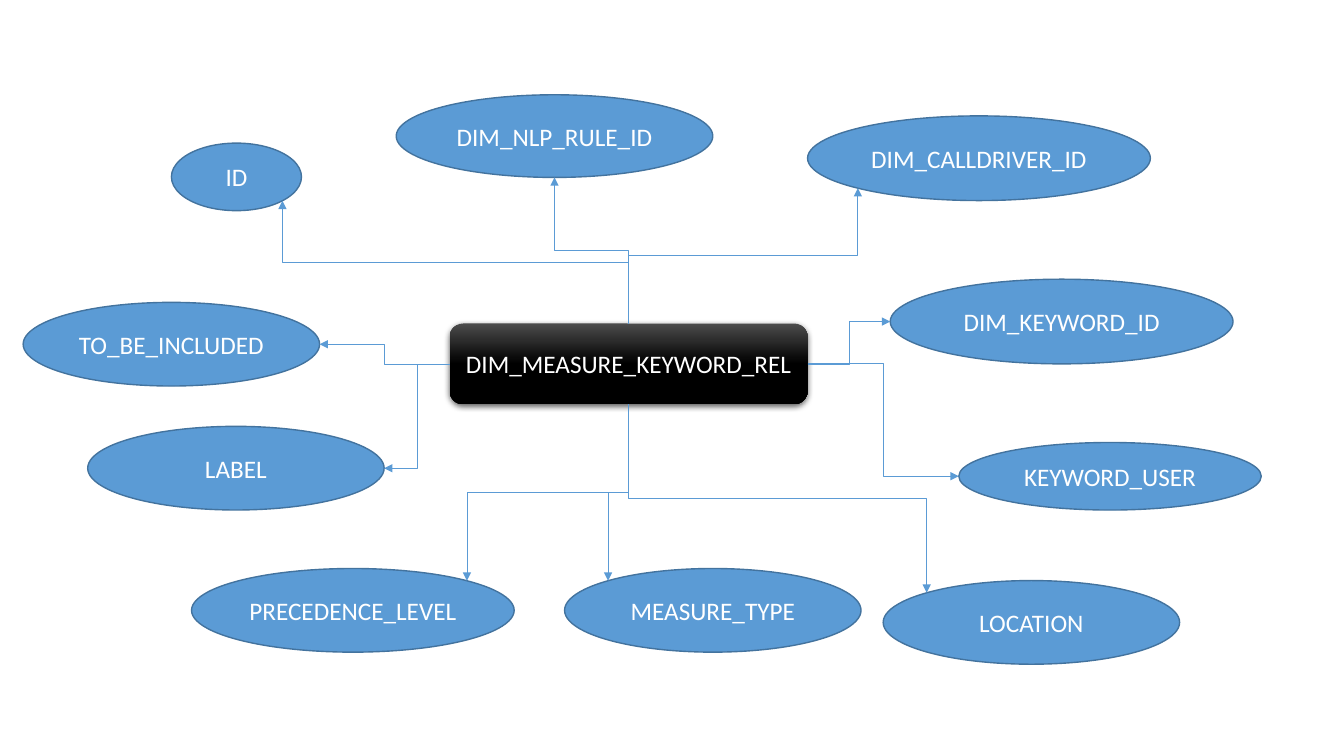
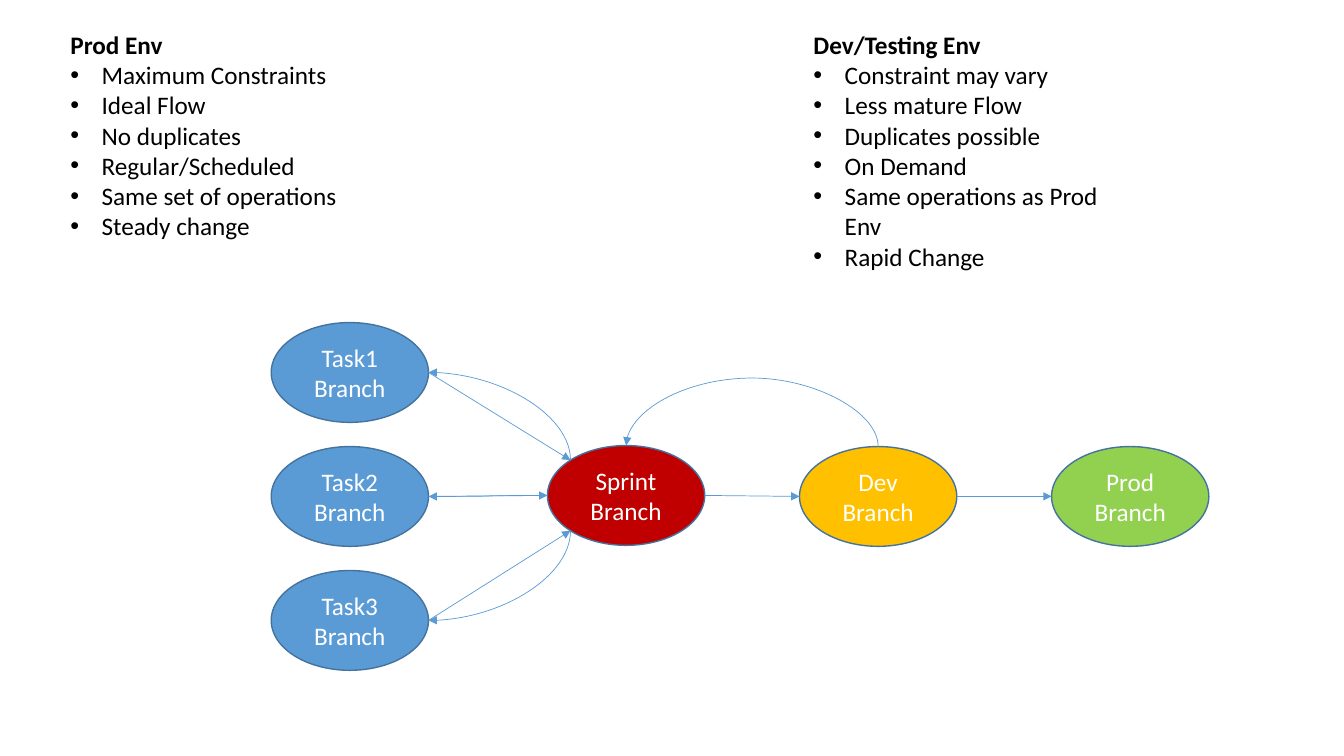
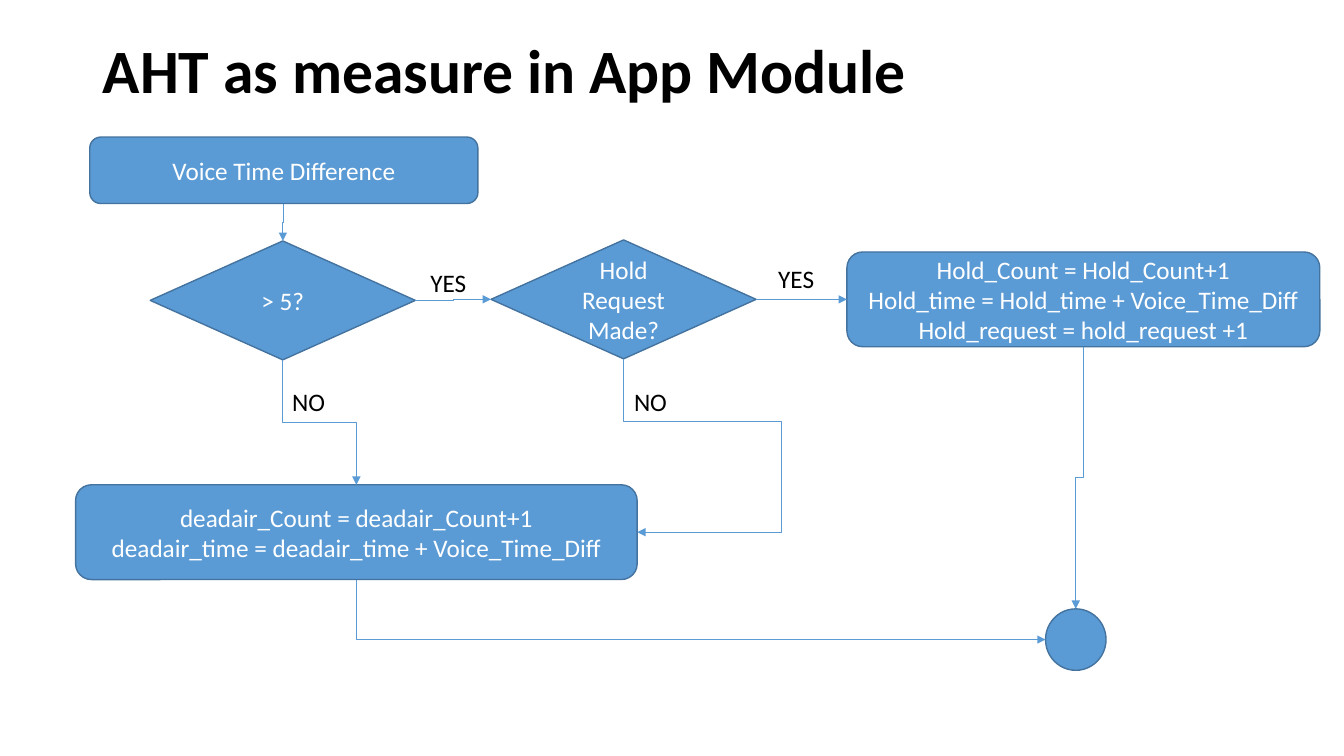
from dataclasses import dataclass

from lxml.etree import SubElement
from pptx import Presentation
from pptx.dml.color import RGBColor
from pptx.enum.shapes import MSO_CONNECTOR as Link, MSO_SHAPE as Form
from pptx.enum.text import MSO_ANCHOR as Anchor, PP_ALIGN as Align
from pptx.oxml.ns import qn
from pptx.util import Inches, Pt

FONT = "Calibri"
COLORS = {
    "blue": "5B9BD5", "edge": "43739E", "red": "C00000", "gold": "FFC000",
    "green": "92D050", "black": "000000", "gray": "4B4B4B", "white": "FFFFFF",
}
# Connection sites: offset from the centre in half widths and half heights
DIAG = 0.5 ** 0.5
SITES = {
    "t": (0, -1), "tl": (-DIAG, -DIAG), "l": (-1, 0), "bl": (-DIAG, DIAG),
    "b": (0, 1), "br": (DIAG, DIAG), "r": (1, 0), "tr": (DIAG, -DIAG),
}
OVAL_SITES = list(SITES)
BOX_SITES = ["t", "l", "b", "r"]


@dataclass
class Node:
    key: str
    lines: tuple
    at: tuple
    form: Form = Form.OVAL
    fill: str = "blue"


@dataclass
class Arrow:
    start: str
    exit: str
    end: str
    entry: str
    kind: Link = Link.ELBOW
    preset: str = ""
    adjust: tuple = ()


def rgb(name: str) -> RGBColor:
    return RGBColor.from_string(COLORS[name])


def write(frame, lines, *, size=18, color="black", bold=False, align=Align.LEFT,
          anchor=Anchor.TOP, wrap=True, spacing=None, bullets=False) -> None:
    """Fill a frame; with bullets, the first line is a bold heading."""
    frame.word_wrap = wrap
    frame.vertical_anchor = anchor
    for i, line in enumerate(lines):
        para = frame.paragraphs[0] if i == 0 else frame.add_paragraph()
        para.alignment = align
        if spacing:
            para.line_spacing = spacing
        if bullets and i:
            props = para._p.get_or_add_pPr()
            props.set("marL", str(Inches(0.31)))
            props.set("indent", str(-Inches(0.31)))
            SubElement(props, qn("a:buFont"), typeface="Arial")
            SubElement(props, qn("a:buChar"), char="•")
        run = para.add_run()
        run.text = line
        font = run.font
        font.name, font.size = FONT, Pt(size)
        font.bold = bold or (bullets and i == 0)
        font.color.rgb = rgb(color)


def label(slide, lines, at, **style) -> None:
    box = slide.shapes.add_textbox(*map(Inches, at))
    write(box.text_frame, lines, **style)


def draw(slide, node: Node):
    shape = slide.shapes.add_shape(node.form, *map(Inches, node.at))
    shape.shadow.inherit = False
    shape.fill.solid()
    shape.fill.fore_color.rgb = rgb(node.fill)
    shape.line.color.rgb = rgb("edge")
    shape.line.width = Pt(1)
    write(shape.text_frame, node.lines, color="white", align=Align.CENTER,
          anchor=Anchor.MIDDLE)
    return shape


def gloss(shape) -> None:
    """Give a shape the dark gradient and a soft shadow."""
    shape.line.fill.background()
    shape.fill.gradient()
    shape.fill.gradient_angle = 270
    for stop, (pos, color) in zip(shape.fill.gradient_stops,
                                  ((0, "gray"), (0.5, "black"))):
        stop.position = pos
        stop.color.rgb = rgb(color)
    effects = shape._element.spPr.find(qn("a:effectLst"))
    shadow = SubElement(effects, qn("a:outerShdw"), blurRad=str(Pt(4.5)),
                        dist=str(Pt(1.5)), dir="5400000", rotWithShape="0")
    tint = SubElement(shadow, qn("a:srgbClr"), val=COLORS["black"])
    SubElement(tint, qn("a:alpha"), val="63000")


def spot(shape, site: str) -> tuple:
    dx, dy = SITES[site]
    return (round(shape.left + shape.width * (1 + dx) / 2),
            round(shape.top + shape.height * (1 + dy) / 2))


def join(line, shape, site: str, first: bool) -> None:
    if shape.auto_shape_type != Form.OVAL:
        connect = line.begin_connect if first else line.end_connect
        connect(shape, BOX_SITES.index(site))
        return
    # Ovals have eight sites
    SubElement(line._element.nvCxnSpPr.cNvCxnSpPr,
               qn("a:stCxn" if first else "a:endCxn"),
               id=str(shape.shape_id), idx=str(OVAL_SITES.index(site)))


def turn(line, start: tuple, end: tuple, upright: bool) -> None:
    """Place a bent line so that it leaves vertically or horizontally."""
    dx, dy = end[0] - start[0], end[1] - start[1]
    wide, high = abs(dx), abs(dy)
    if upright:
        wide, high = high, wide
        angle = 90 if dx * dy < 0 else 270
        flip_h, flip_v = dx >= 0, dy < 0
    else:
        angle = 180 if dx < 0 else 0
        flip_h, flip_v = False, dx * dy < 0
    frame = line._element.spPr.get_or_add_xfrm()
    frame.set("rot", str(angle * 60000))
    frame.set("flipH", str(int(flip_h)))
    frame.set("flipV", str(int(flip_v)))
    line.left = (start[0] + end[0] - wide) // 2
    line.top = (start[1] + end[1] - high) // 2
    line.width, line.height = wide, high


def link(slide, shapes: dict, arrow: Arrow) -> None:
    a, b = shapes[arrow.start], shapes[arrow.end]
    start, end = spot(a, arrow.exit), spot(b, arrow.entry)
    line = slide.shapes.add_connector(arrow.kind, *start, *end)
    join(line, a, arrow.exit, True)
    join(line, b, arrow.entry, False)
    if arrow.kind != Link.STRAIGHT:
        turn(line, start, end, arrow.exit[0] in "tb")
    props = line._element.spPr
    shape = props.find(qn("a:prstGeom"))
    if arrow.preset:
        shape.set("prst", arrow.preset)
    guides = shape.find(qn("a:avLst"))
    if guides is None:
        guides = SubElement(shape, qn("a:avLst"))
    for i, value in enumerate(arrow.adjust, 1):
        SubElement(guides, qn("a:gd"), name=f"adj{i}",
                   fmla=f"val {round(value * 100000)}")
    line.line.color.rgb = rgb("blue")
    line.line.width = Pt(0.5)
    SubElement(line.line._get_or_add_ln(), qn("a:tailEnd"), type="triangle")
    SubElement(props, qn("a:effectLst"))


def chart(slide, nodes: list, arrows: list) -> dict:
    shapes = {node.key: draw(slide, node) for node in nodes}
    for arrow in arrows:
        link(slide, shapes, arrow)
    return shapes


def keyword_slide(deck) -> None:
    slide = deck.slides.add_slide(deck.slide_layouts[6])
    hub = "DIM_MEASURE_KEYWORD_REL"
    # Field, place, exit from the hub, entry to the oval
    fields = [
        ("DIM_NLP_RULE_ID", (3.93, 0.94, 3.14, 0.82), "t", "b"),
        ("DIM_CALLDRIVER_ID", (8.01, 1.15, 3.4, 0.84), "t", "bl"),
        ("ID", (1.7, 1.42, 1.29, 0.67), "t", "br"),
        ("TO_BE_INCLUDED", (0.23, 3, 2.94, 0.83), "l", "r"),
        ("DIM_KEYWORD_ID", (8.83, 2.77, 3.4, 0.84), "r", "l"),
        ("LABEL", (0.87, 4.23, 2.94, 0.83), "l", "r"),
        ("KEYWORD_USER", (9.51, 4.39, 3, 0.67), "r", "l"),
        ("PRECEDENCE_LEVEL", (1.9, 5.64, 3.2, 0.83), "b", "tr"),
        ("MEASURE_TYPE", (5.6, 5.64, 2.94, 0.83), "b", "tl"),
        ("LOCATION", (8.76, 5.76, 2.94, 0.83), "b", "tl"),
    ]
    nodes = [Node(hub, (hub,), (4.46, 3.21, 3.55, 0.8), Form.ROUNDED_RECTANGLE)]
    nodes += [Node(name, (name,), at) for name, at, _, _ in fields]
    arrows = [Arrow(hub, out, name, into) for name, _, out, into in fields]
    gloss(chart(slide, nodes, arrows)[hub])


def branch_slide(deck) -> None:
    slide = deck.slides.add_slide(deck.slide_layouts[6])
    # Notes on both environments
    label(slide, ("Prod Env", "Maximum Constraints", "Ideal Flow", "No duplicates",
                  "Regular/Scheduled", "Same set of operations", "Steady change"),
          (0.6, 0.24, 2.87, 2.52), bullets=True)
    label(slide, ("Dev/Testing Env", "Constraint may vary", "Less mature Flow",
                  "Duplicates possible", "On Demand", "Same operations as Prod Env",
                  "Rapid Change"),
          (7.97, 0.24, 3.07, 2.52), bullets=True)
    # Branches
    spots = [("Prod", 10.43, 4.43, "green"), ("Dev", 7.93, 4.43, "gold"),
             ("Sprint", 5.43, 4.42, "red")]
    spots += [(f"Task{i + 1}", 2.69, 3.2 + 1.23 * i, "blue") for i in range(3)]
    nodes = [Node(name, (name, "Branch"), (x, y, 1.56, 0.99), fill=fill)
             for name, x, y, fill in spots]
    # Merges run straight, updates run back in curves
    merges = [("Task1", "tl"), ("Task2", "l"), ("Task3", "bl")]
    arrows = [Arrow(task, "r", "Sprint", site, Link.STRAIGHT)
              for task, site in merges]
    arrows += [Arrow(a, "r", b, "l", Link.STRAIGHT)
               for a, b in (("Sprint", "Dev"), ("Dev", "Prod"))]
    arrows.append(Arrow("Dev", "t", "Sprint", "t", Link.CURVE, adjust=(69,)))
    arrows += [Arrow("Sprint", site, task, "r", Link.CURVE,
                     "" if site == "l" else "curvedConnector2")
               for task, site in merges]
    chart(slide, nodes, arrows)


def flow_slide(deck) -> None:
    slide = deck.slides.add_slide(deck.slide_layouts[5])
    title = slide.shapes.title
    title.left, title.top, title.width, title.height = map(
        Inches, (0.92, 0, 11.5, 1.45))
    write(title.text_frame, ("AHT as measure in App Module",), size=44, bold=True,
          anchor=Anchor.MIDDLE, spacing=0.9)
    # Steps
    box, test = Form.ROUNDED_RECTANGLE, Form.FLOWCHART_DECISION
    nodes = [
        Node("voice", ("Voice Time Difference",), (0.89, 1.36, 3.85, 0.66), box),
        Node("limit", ("> 5?",), (1.49, 2.39, 2.63, 1.18), test),
        Node("asked", ("Hold Request Made?",), (4.87, 2.38, 2.63, 1.18), test),
        Node("hold", ("Hold_Count = Hold_Count+1",
                      "Hold_time = Hold_time + Voice_Time_Diff",
                      "Hold_request = hold_request +1"),
             (8.4, 2.5, 4.69, 0.94), box),
        Node("dead", ("deadair_Count = deadair_Count+1",
                      "deadair_time = deadair_time + Voice_Time_Diff"),
             (0.75, 4.81, 5.57, 0.94), box),
        Node("end", (), (10.37, 6.04, 0.6, 0.61)),
    ]
    arrows = [
        Arrow("voice", "b", "limit", "t"),
        Arrow("limit", "b", "dead", "t"),
        Arrow("limit", "r", "asked", "l"),
        Arrow("asked", "r", "hold", "l", Link.STRAIGHT),
        Arrow("asked", "b", "dead", "r", preset="bentConnector4",
              adjust=(0.36, 11.59)),
        Arrow("hold", "b", "end", "t"),
        Arrow("dead", "b", "end", "l", preset="bentConnector2"),
    ]
    chart(slide, nodes, arrows)
    # Answers
    for word, x, y, wide in (("YES", 4.17, 2.6, 0.56), ("YES", 7.62, 2.56, 0.56),
                             ("NO", 6.19, 3.78, 0.53), ("NO", 2.8, 3.78, 0.53)):
        label(slide, (word,), (x, y, wide, 0.4), wrap=False)


def main() -> None:
    deck = Presentation()
    deck.slide_width, deck.slide_height = Inches(13.33), Inches(7.5)
    for build in (keyword_slide, branch_slide, flow_slide):
        build(deck)
    deck.save("out.pptx")


if __name__ == "__main__":
    main()
